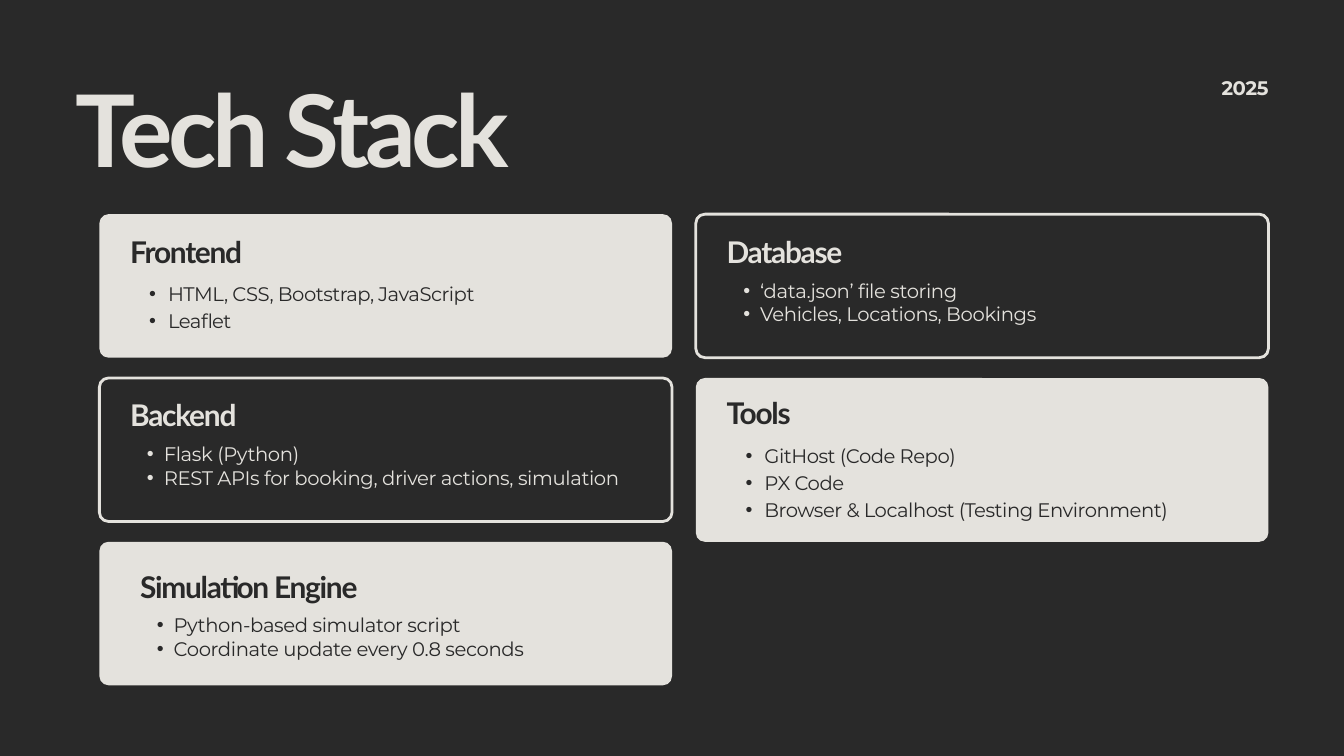
import pptx
import pptx.dml.color
import pptx.enum.shapes
import pptx.enum.text
import pptx.oxml.ns
import pptx.util
from lxml import etree

ALIGN = pptx.enum.text.PP_ALIGN
DARK = "292929"
LIGHT = "E4E2DD"
CARD_WIDTH = 818
CARD_HEIGHT = 205
CARD_RADIUS = 13
COLUMNS = (142, 994)
FIRST_ROW = 306
ROW_PITCH = 234
INSET = 44
TIGHT = {"leading": 25.2, "spacing": -0.4, "indent": 24}
LOOSE = {"leading": 28.8, "spacing": -0.5, "indent": 27}


def px(length):
    return pptx.util.Emu(length * 9525)


def rgb(value):
    return pptx.dml.color.RGBColor.from_string(value)


def add_bullet(paragraph, indent):
    paragraph.level = 1
    properties = paragraph._p.get_or_add_pPr()
    properties.set("marL", str(px(2 * indent)))
    properties.set("indent", str(-px(indent)))
    font = etree.SubElement(properties, pptx.oxml.ns.qn("a:buFont"))
    font.set("typeface", "Arial")
    bullet = etree.SubElement(properties, pptx.oxml.ns.qn("a:buChar"))
    bullet.set("char", "•")


def write(frame, text, *, font, size, color, leading, spacing,
          bold=False, align=ALIGN.LEFT, indent=None):
    frame.margin_left = frame.margin_right = 0
    frame.margin_top = frame.margin_bottom = 0
    frame.word_wrap = True
    frame.auto_size = pptx.enum.text.MSO_AUTO_SIZE.SHAPE_TO_FIT_TEXT
    frame.vertical_anchor = pptx.enum.text.MSO_ANCHOR.TOP
    for index, line in enumerate(text.split("\n")):
        paragraph = frame.add_paragraph() if index else frame.paragraphs[0]
        paragraph.alignment = align
        paragraph.line_spacing = pptx.util.Pt(leading)
        if indent:
            add_bullet(paragraph, indent)
        run = paragraph.add_run()
        run.text = line
        run.font.name = font
        run.font.size = pptx.util.Pt(size)
        run.font.bold = bold
        run.font.color.rgb = rgb(color)
        run._r.get_or_add_rPr().set("spc", str(round(spacing * 100)))


class StackSlide:
    heading_font = "Lato"
    body_font = "Montserrat"
    body_size = 21

    def __init__(self, deck):
        self.slide = deck.slides.add_slide(deck.slide_layouts[5])
        fill = self.slide.background.fill
        fill.solid()
        fill.fore_color.rgb = rgb(DARK)

    def title(self, text, left, top, width, height):
        title = self.slide.shapes.title
        title.left, title.top = px(left), px(top)
        title.width, title.height = px(width), px(height)
        write(title.text_frame, text, font=self.heading_font, size=107.3,
              color=LIGHT, bold=True, leading=95.5, spacing=-4.7)

    def text(self, text, left, top, width, height, **style):
        box = self.slide.shapes.add_textbox(
            px(left), px(top), px(width), px(height))
        write(box.text_frame, text, **style)

    def year(self, text, left, top, width, height):
        self.text(text, left, top, width, height, font=self.body_font,
                  size=self.body_size, color=LIGHT, bold=True,
                  align=ALIGN.RIGHT, leading=25.2, spacing=-0.4)

    def panel(self, left, top, height, outlined):
        panel = self.slide.shapes.add_shape(
            pptx.enum.shapes.MSO_SHAPE.ROUNDED_RECTANGLE,
            px(left), px(top), px(CARD_WIDTH), px(height))
        panel.adjustments[0] = CARD_RADIUS / height
        panel.shadow.inherit = False
        panel.fill.solid()
        panel.fill.fore_color.rgb = rgb(DARK if outlined else LIGHT)
        if outlined:
            panel.line.color.rgb = rgb(LIGHT)
            panel.line.width = pptx.util.Pt(3)
        else:
            panel.line.fill.background()

    def card(self, heading, items, column, row, *, outlined=False,
             height=CARD_HEIGHT, inset=INSET, heading_drop=41,
             list_drop=92, list_style=TIGHT):
        left = COLUMNS[column]
        top = FIRST_ROW + row * ROW_PITCH
        ink = LIGHT if outlined else DARK
        self.panel(left, top, height, outlined)
        self.text(heading, left + inset, top + heading_drop, 490, 40,
                  font=self.heading_font, size=32, color=ink, bold=True,
                  leading=28.5, spacing=-1.4)
        self.text("\n".join(items), left + inset, top + list_drop, 730, 100,
                  font=self.body_font, size=self.body_size, color=ink,
                  align=ALIGN.JUSTIFY, **list_style)


def main():
    deck = pptx.Presentation()
    deck.slide_width, deck.slide_height = px(1920), px(1080)
    stack = StackSlide(deck)
    stack.title("Tech Stack", 108, 141, 754, 138)
    stack.year("2025", 1643, 108, 169, 33)
    stack.card("Frontend", ["HTML, CSS, Bootstrap, JavaScript", "Leaflet"],
               0, 0, list_style=LOOSE)
    stack.card("Backend",
               ["Flask (Python)",
                "REST APIs for booking, driver actions, simulation"],
               0, 1, outlined=True, heading_drop=40)
    stack.card("Simulation Engine",
               ["Python-based simulator script",
                "Coordinate update every 0.8 seconds"],
               0, 2, inset=58, heading_drop=51, list_drop=102)
    stack.card("Database",
               ["‘data.json’ file storing", "Vehicles, Locations, Bookings"],
               1, 0, outlined=True)
    stack.card("Tools",
               ["GitHost (Code Repo)", "PX Code",
                "Browser & Localhost (Testing Environment)"],
               1, 1, height=ROW_PITCH, heading_drop=37, list_drop=90,
               list_style=LOOSE)
    deck.save("out.pptx")


if __name__ == "__main__":
    main()
